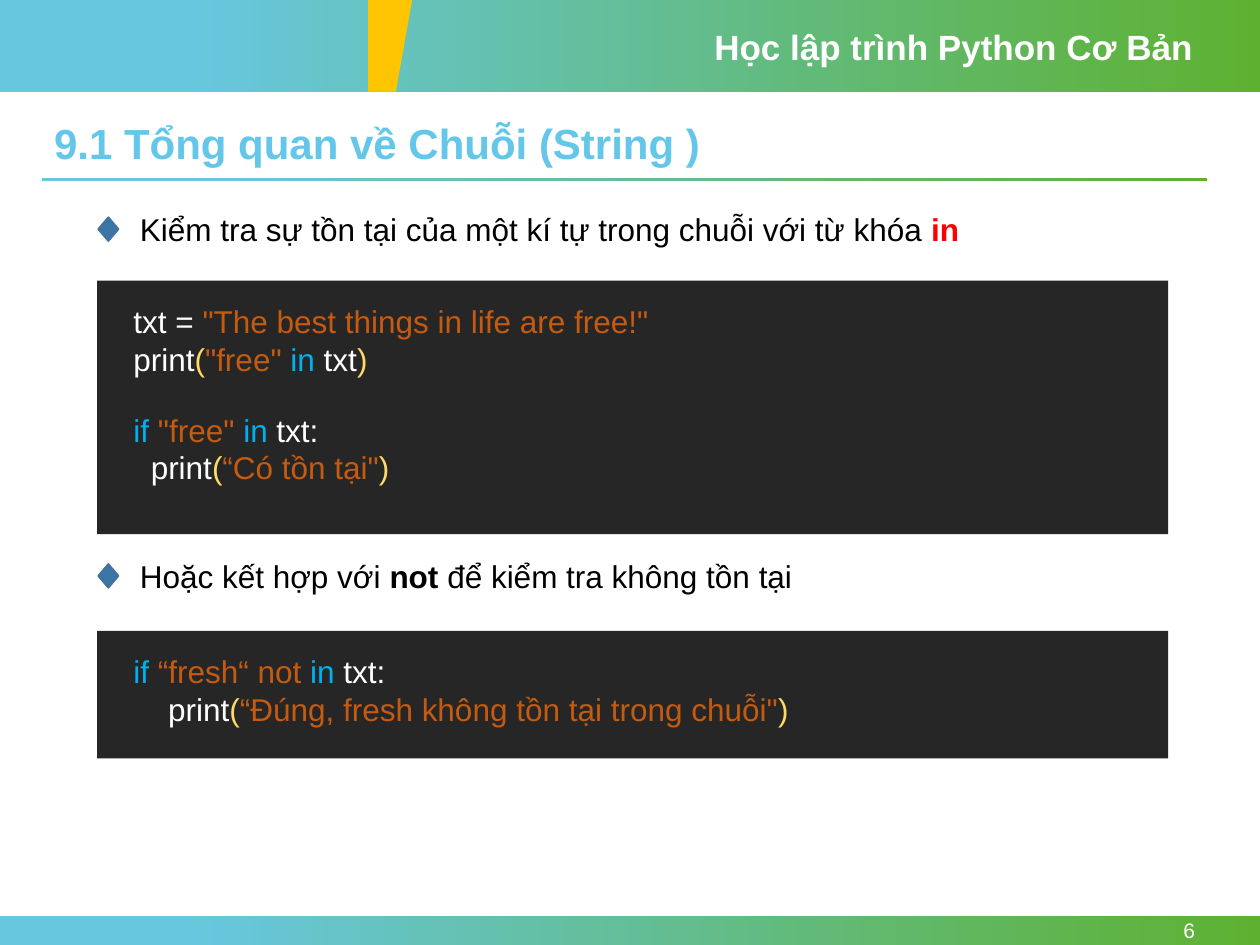
from pptx import Presentation
from pptx.dml.color import RGBColor
from pptx.enum.shapes import MSO_SHAPE
from pptx.enum.text import MSO_ANCHOR, PP_ALIGN
from pptx.util import Cm, Pt

COLORS = {
    "sky": "67C7DF", "green": "5EB130", "flag": "FFC500", "title": "64C7E9",
    "white": "FFFFFF", "black": "000000", "red": "FF0000",
    "diamond": "3A75A6", "diamond_edge": "43739E", "panel": "262626",
    "string": "C55A11", "bracket": "FFD966", "keyword": "00B0F0",
}

prs = Presentation()
prs.slide_width, prs.slide_height = Cm(25.4), Cm(19.05)
slide = prs.slides.add_slide(prs.slide_layouts[6])
shapes = slide.shapes


def add_block(kind, left, top, width, height, color=None):
    block = shapes.add_shape(kind, Cm(left), Cm(top), Cm(width), Cm(height))
    block.shadow.inherit = False
    block.line.fill.background()
    if color:
        block.fill.solid()
        block.fill.fore_color.rgb = RGBColor.from_string(COLORS[color])
    else:
        block.fill.gradient()
        block.fill.gradient_angle = 0
        for stop, position, name in zip(block.fill.gradient_stops, (0.15, 1), ("sky", "green")):
            stop.position = position
            stop.color.rgb = RGBColor.from_string(COLORS[name])
    return block


def add_text(left, top, width, height, lines, size=18):
    frame = shapes.add_textbox(Cm(left), Cm(top), Cm(width), Cm(height)).text_frame
    frame.word_wrap = True
    for number, pieces in enumerate(lines):
        paragraph = frame.add_paragraph() if number else frame.paragraphs[0]
        paragraph.font.size = Pt(size)
        paragraph.font.name = "Arial"
        for text, color, bold in pieces:
            run = paragraph.add_run()
            run.text = text
            run.font.color.rgb = RGBColor.from_string(COLORS[color])
            run.font.bold = bold
    return frame


for left, top, width, height in (
    (0, 0, 25.4, 1.85), (0, 18.47, 25.4, 0.58), (0.84, 3.58, 23.5, 0.08),
):
    add_block(MSO_SHAPE.RECTANGLE, left, top, width, height)

outline = shapes.build_freeform(Cm(7.42), 0)
outline.add_line_segments([(Cm(8.31), 0), (Cm(7.98), Cm(1.85)), (Cm(7.42), Cm(1.85))])
flag = outline.convert_to_shape()
flag.shadow.inherit = False
flag.fill.solid()
flag.fill.fore_color.rgb = RGBColor.from_string(COLORS["flag"])
flag.line.fill.background()

add_text(14.15, 0.38, 10.3, 1.12, [[("Học lập trình Python Cơ Bản", "white", True)]], 20)

page_number = add_text(22, 18.47, 2.34, 0.58, [[("6", "white", False)]], 12)
page_number.vertical_anchor = MSO_ANCHOR.MIDDLE
page_number.paragraphs[0].alignment = PP_ALIGN.RIGHT

title = add_text(0.84, 2.36, 23.5, 1.17, [[("9.1 Tổng quan về Chuỗi (String )", "title", True)]], 24)
title.paragraphs[0].line_spacing = 0.9
title.paragraphs[0].space_before = Pt(10)

membership_code = [
    [("txt = ", "white"), ('"The best things in life are free!"', "string")],
    [("print", "white"), ("(", "bracket"), ('"free" ', "string"), ("in", "keyword"),
     (" txt", "white"), (")", "bracket")],
    [("if ", "keyword"), ('"free" ', "string"), ("in", "keyword"), (" txt:", "white")],
    [("print", "white"), ("(", "bracket"), ('“Có tồn tại"', "string"), (")", "bracket")],
]
absence_code = [
    [("if ", "keyword"), ("“fresh“ not ", "string"), ("in", "keyword"), (" txt:", "white")],
    [("print", "white"), ("(", "bracket"),
     ('“Đúng, fresh không tồn tại trong chuỗi"', "string"), (")", "bracket")],
]
sections = [
    (4.11, [("Kiểm tra sự tồn tại của một kí tự trong chuỗi với từ khóa ", "black", False),
            ("in", "red", True)], 5.66, 5.11, membership_code, 0.35),
    (11.1, [("Hoặc kết hợp với ", "black", False), ("not ", "black", True),
            ("để kiểm tra không tồn tại", "black", False)], 12.72, 2.57, absence_code, 0.7),
]

for top, heading, panel_top, panel_height, code, indent in sections:
    add_text(2.57, top, 21.77, 1.02, [heading])
    diamond = add_block(MSO_SHAPE.FLOWCHART_DECISION, 1.98, top + 0.27, 0.41, 0.48, "diamond")
    diamond.line.color.rgb = RGBColor.from_string(COLORS["diamond_edge"])
    diamond.line.width = Pt(1)
    add_block(MSO_SHAPE.RECTANGLE, 1.96, panel_top, 21.59, panel_height, "panel")
    listing = add_text(2.44, panel_top + 0.3, 20.57, panel_height - 0.8,
                       [[(text, color, False) for text, color in line] for line in code])
    listing.paragraphs[-1]._p.get_or_add_pPr().set("marL", str(Cm(indent)))
    if len(code) > 2:
        listing.paragraphs[2].space_before = Pt(19)

prs.save("out.pptx")
